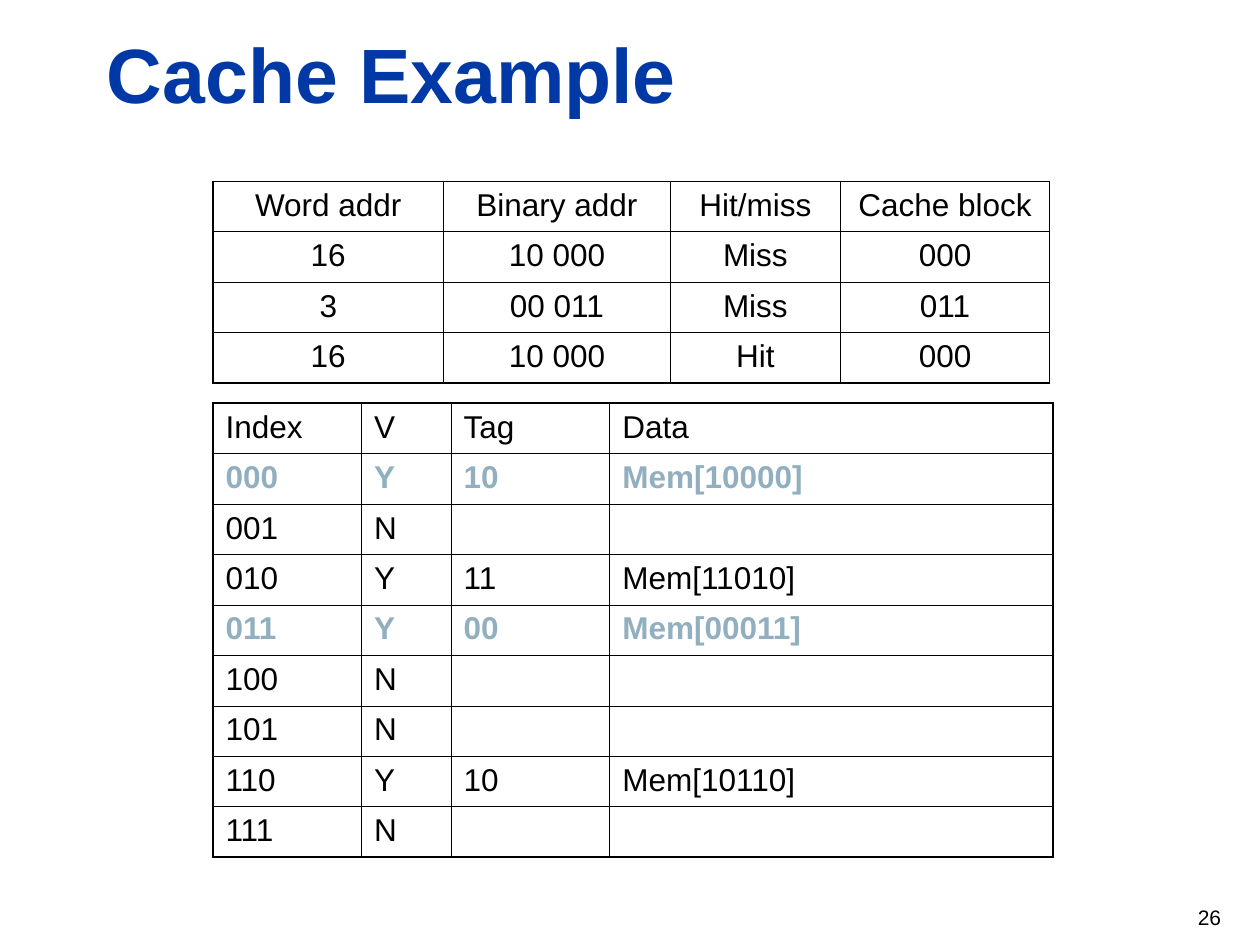
from lxml import etree
from pptx import Presentation, util as u
from pptx.dml.color import RGBColor
from pptx.enum import text
from pptx.oxml import ns

W, H = u.Inches(10), u.Inches(7.5)
C = {"title": "0039A6", "ink": "000000", "recent": "91AFBF"}
LINE = {"outer": 1.08, "rule": 0.75, "thin": 0.45}
ROW = 5.33
ALIGN = text.PP_ALIGN
ANCHOR = text.MSO_ANCHOR

ACCESSES = [
    ("Word addr", "Binary addr", "Hit/miss", "Cache block"),
    ("16", "10 000", "Miss", "000"),
    ("3", "00 011", "Miss", "011"),
    ("16", "10 000", "Hit", "000"),
]
CACHE = [
    ("Index", "V", "Tag", "Data"),
    ("000", "Y", "10", "Mem[10000]"),
    ("001", "N", "", ""),
    ("010", "Y", "11", "Mem[11010]"),
    ("011", "Y", "00", "Mem[00011]"),
    ("100", "N", "", ""),
    ("101", "N", "", ""),
    ("110", "Y", "10", "Mem[10110]"),
    ("111", "N", "", ""),
]


def share(percent, whole):
    return round(whole * percent / 100)


def place(box):
    return [share(v, whole) for v, whole in zip(box, (W, H, W, H))]


def write(p, words, color, **fmt):
    r = p.add_run()
    r.text = words
    for key, value in {"name": "Arial", **fmt}.items():
        setattr(r.font, key, value)
    r.font.color.rgb = RGBColor.from_string(C[color])


def label(s, box, words, color, anchor, align, **fmt):
    tf = s.shapes.add_textbox(*place(box)).text_frame
    for key, value in {"word_wrap": True, "vertical_anchor": anchor}.items():
        setattr(tf, key, value)
    p = tf.paragraphs[0]
    p.alignment = align
    write(p, words, color, **fmt)


def border(cell, widths):
    tc_pr = cell._tc.get_or_add_tcPr()
    for side in "LRTB":
        ln = etree.SubElement(tc_pr, ns.qn(f"a:ln{side}"), w=str(u.Pt(LINE[widths[side]])))
        fill = etree.SubElement(ln, ns.qn("a:solidFill"))
        etree.SubElement(fill, ns.qn("a:srgbClr"), val=C["ink"])


def table(s, left, top, widths, rows, align, inner, recent=()):
    box = (left, top, sum(widths), ROW * len(rows))
    tb = s.shapes.add_table(len(rows), len(widths), *place(box)).table
    tb.first_row = tb.horz_banding = False
    for col, width in zip(tb.columns, widths):
        col.width = share(width, W)
    across = ["outer"] + ["thin"] * (len(widths) - 1) + ["outer"]
    down = ["outer", "rule"] + [inner] * (len(rows) - 2) + ["outer"]
    for i, row in enumerate(rows):
        tb.rows[i].height = share(ROW, H)
        marked = i in recent
        for j, words in enumerate(row):
            cell = tb.cell(i, j)
            border(cell, {"L": across[j], "R": across[j + 1], "T": down[i], "B": down[i + 1]})
            cell.fill.background()
            p = cell.text_frame.paragraphs[0]
            for key, value in {"alignment": align, "space_before": u.Pt(4.5)}.items():
                setattr(p, key, value)
            if words:
                write(p, words, "recent" if marked else "ink", size=u.Pt(18), bold=marked)


def main():
    prs = Presentation()
    prs.slide_width, prs.slide_height = W, H
    s = prs.slides.add_slide(prs.slide_layouts[6])
    label(s, (7.5, 2.13, 90.3, 11.07), "Cache Example", "title",
          ANCHOR.BOTTOM, ALIGN.LEFT, size=u.Pt(44), bold=True)
    table(s, 16.9, 42.67, (11.8, 7.1, 12.6, 35.2), CACHE, ALIGN.LEFT, "thin", recent=(1, 4))
    table(s, 16.9, 19.2, (18.3, 18, 13.5, 16.6), ACCESSES, ALIGN.CENTER, "rule")
    label(s, (75.4, 94.4, 22.5, ROW), "26", "ink",
          ANCHOR.MIDDLE, ALIGN.RIGHT, size=u.Pt(12))
    prs.save("out.pptx")


if __name__ == "__main__":
    main()
